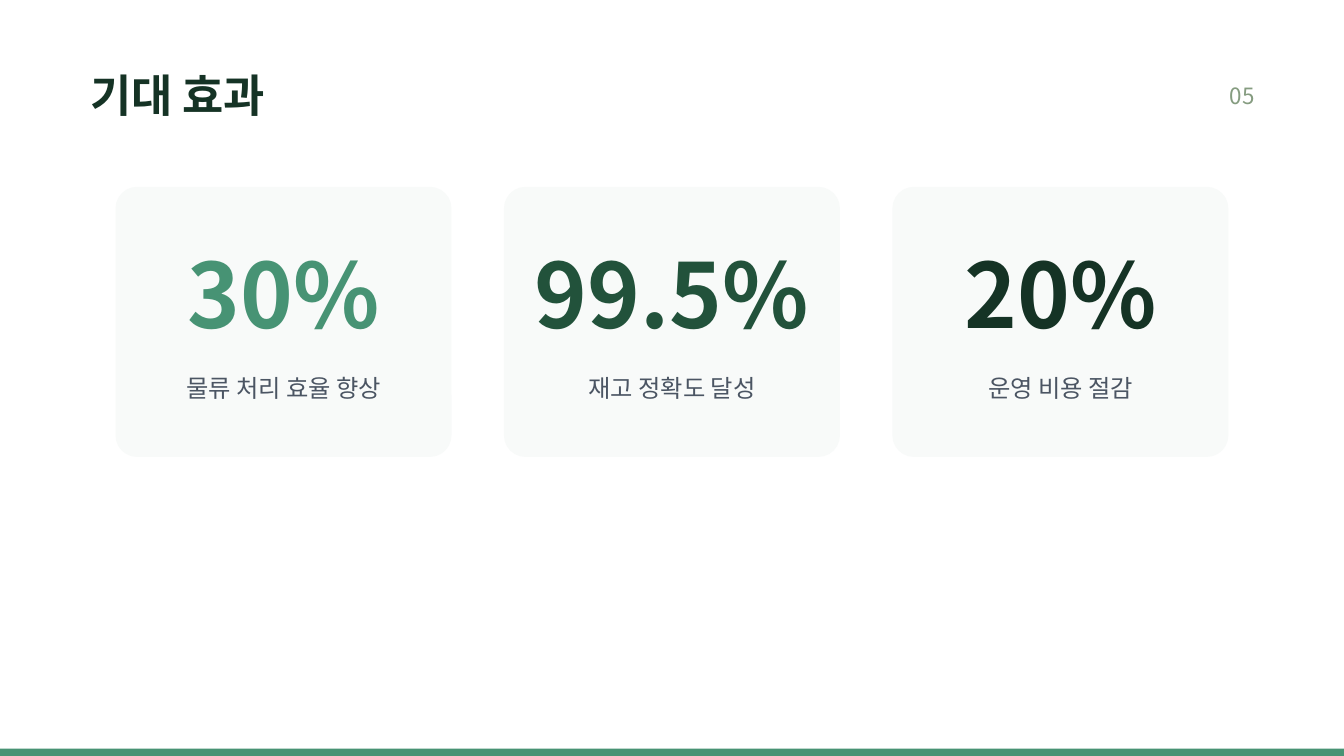
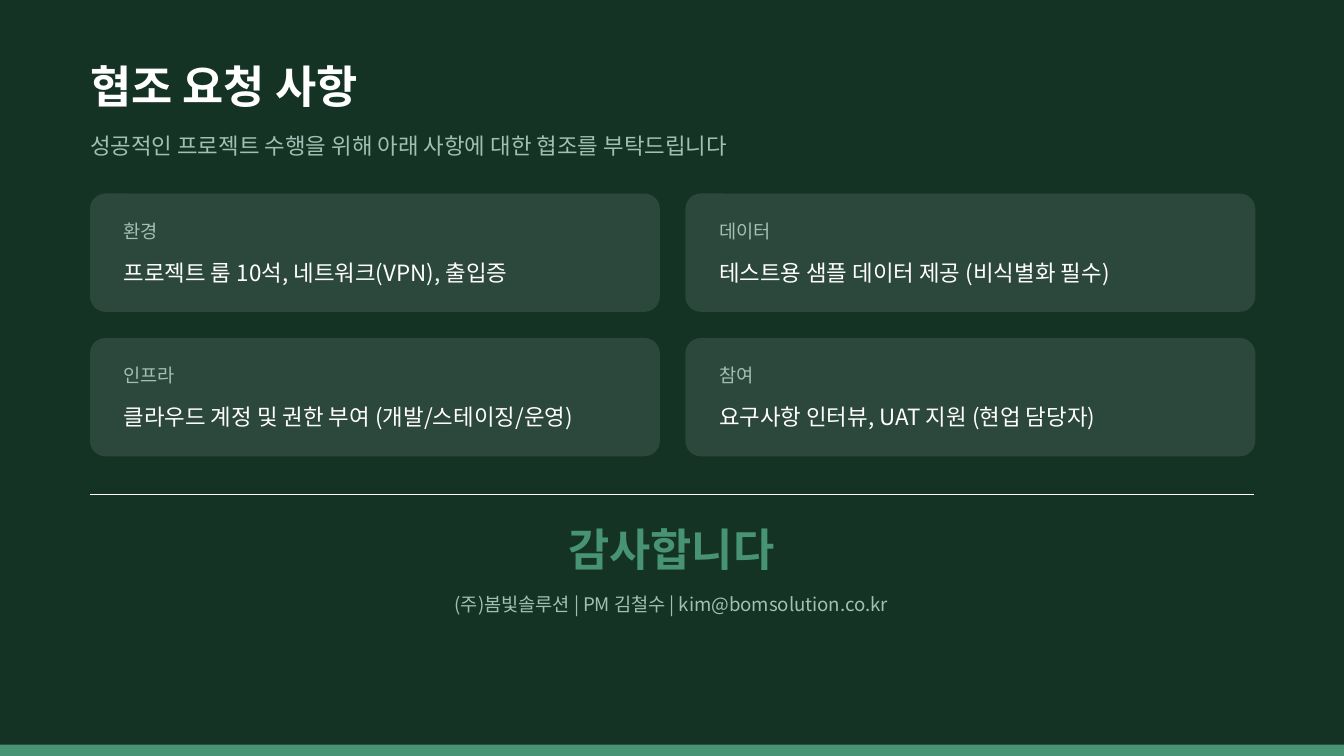
from itertools import product

from lxml.etree import SubElement
from pptx import Presentation
from pptx.dml.color import RGBColor
from pptx.enum.shapes import MSO_CONNECTOR, MSO_SHAPE
from pptx.enum.text import MSO_ANCHOR, MSO_AUTO_SIZE, PP_ALIGN
from pptx.oxml.ns import qn
from pptx.util import Inches, Pt

WHITE = RGBColor(0xFF, 0xFF, 0xFF)
FOREST = RGBColor(0x15, 0x33, 0x25)
PINE = RGBColor(0x22, 0x52, 0x3B)
GREEN = RGBColor(0x47, 0x93, 0x74)
SAGE = RGBColor(0x85, 0x9C, 0x80)
MIST = RGBColor(0xA1, 0xBF, 0xB4)
SLATE = RGBColor(0x4B, 0x55, 0x63)
PALE = RGBColor(0xF8, 0xFA, 0xF9)

FONT = "Noto Sans CJK KR"
TITLE_ONLY = 5
COLUMNS, ROWS = 100, 56.25
MARGIN = 6.7

HEADING = {"size": Pt(24), "bold": True}
FIGURE = {"size": Pt(48), "bold": True}
CAPTION = {"size": Pt(13)}
BODY = {"size": Pt(12)}
LABEL = {"size": Pt(10)}
CENTERED = {"alignment": PP_ALIGN.CENTER}


def set_all(target, values):
    for name, value in values.items():
        setattr(target, name, value)


class Deck:
    """Holds the shared style and the slide being built; lengths are grid units."""

    def __init__(self):
        self.presentation = Presentation()
        self.presentation.slide_width = Inches(10)
        self.presentation.slide_height = Inches(5.625)
        self.column = self.presentation.slide_width / COLUMNS
        self.row = self.presentation.slide_height / ROWS
        self.slide = None

    def place(self, left, top, width, height):
        return (round(left * self.column), round(top * self.row),
                round(width * self.column), round(height * self.row))

    def add_slide(self, background, band_height):
        layout = self.presentation.slide_layouts[TITLE_ONLY]
        self.slide = self.presentation.slides.add_slide(layout)
        fill = self.slide.background.fill
        fill.solid()
        fill.fore_color.rgb = background
        self.block(MSO_SHAPE.RECTANGLE, 0, ROWS - band_height, COLUMNS, band_height, GREEN)

    def fill_text(self, shape, content, color, font, paragraph_format):
        frame = shape.text_frame
        set_all(frame, {
            "margin_left": 0, "margin_top": 0, "margin_right": 0, "margin_bottom": 0,
            "word_wrap": True, "auto_size": MSO_AUTO_SIZE.NONE,
            "vertical_anchor": MSO_ANCHOR.TOP,
        })
        paragraph = frame.paragraphs[0]
        set_all(paragraph, {"alignment": PP_ALIGN.LEFT} | paragraph_format)
        run = paragraph.add_run()
        run.text = content
        set_all(run.font, {"name": FONT, "bold": False} | font)
        run.font.color.rgb = color
        SubElement(run.font._element, qn("a:ea"), typeface=FONT)

    def title(self, content, top, width, color):
        shape = self.slide.shapes.title
        bounds = self.place(MARGIN, top, width, 4.5)
        set_all(shape, dict(zip(("left", "top", "width", "height"), bounds)))
        self.fill_text(shape, content, color, HEADING, {})

    def text(self, content, left, top, width, height, color, font, **paragraph_format):
        shape = self.slide.shapes.add_textbox(*self.place(left, top, width, height))
        self.fill_text(shape, content, color, font, paragraph_format)

    def block(self, kind, left, top, width, height, color, rounding=None, opacity=None):
        shape = self.slide.shapes.add_shape(kind, *self.place(left, top, width, height))
        shape.shadow.inherit = False
        shape.line.fill.background()
        shape.fill.solid()
        shape.fill.fore_color.rgb = color
        if rounding is not None:
            shape.adjustments[0] = rounding
        if opacity is not None:
            rgb = shape._element.spPr.find(qn("a:solidFill")).find(qn("a:srgbClr"))
            SubElement(rgb, qn("a:alpha"), val=str(opacity * 1000))

    def rule(self, top, color):
        left, y, right, _ = self.place(MARGIN, top, COLUMNS - MARGIN, 0)
        line = self.slide.shapes.add_connector(MSO_CONNECTOR.STRAIGHT, left, y, right, y)
        line.line.width = Pt(0.75)
        line.line.color.rgb = color
        SubElement(line._element.spPr, qn("a:effectLst"))

    def metric_card(self, left, figure, caption, color):
        self.block(MSO_SHAPE.ROUNDED_RECTANGLE, left, 13.9, 25, 20.1, PALE, rounding=0.08)
        inner = left + 1.8
        self.text(figure, inner, 17.8, 21.4, 8.9, color, FIGURE,
                  space_after=Pt(8), **CENTERED)
        self.text(caption, inner, 27.8, 21.4, 2.4, SLATE, CAPTION,
                  space_before=Pt(4), **CENTERED)

    def request_card(self, left, top, label, request):
        self.block(MSO_SHAPE.ROUNDED_RECTANGLE, left, top, 42.4, 8.8, WHITE,
                   rounding=0.13, opacity=10)
        inner = left + 2.5
        self.text(label, inner, top + 1.95, 41.1, 1.9, MIST, LABEL, space_after=Pt(5))
        self.text(request, inner, top + 4.55, 41.1, 2.3, WHITE, BODY, line_spacing=Pt(16.8))


def build_effects(deck):
    deck.add_slide(WHITE, band_height=0.55)
    deck.title("기대 효과", 5, 16, FOREST)
    deck.text("05", 91.5, 6.1, 2, 2.2, SAGE, BODY)
    metrics = [
        ("30%", "물류 처리 효율 향상", GREEN),
        ("99.5%", "재고 정확도 달성", PINE),
        ("20%", "운영 비용 절감", FOREST),
    ]
    for index, metric in enumerate(metrics):
        deck.metric_card(8.6 + 28.9 * index, *metric)


def build_requests(deck):
    deck.add_slide(FOREST, band_height=0.85)
    deck.title("협조 요청 사항", 4.4, 92, WHITE)
    deck.text("성공적인 프로젝트 수행을 위해 아래 사항에 대한 협조를 부탁드립니다",
              MARGIN, 9.8, 92, 2.2, MIST, BODY)
    requests = [
        ("환경", "프로젝트 룸 10석, 네트워크(VPN), 출입증"),
        ("데이터", "테스트용 샘플 데이터 제공 (비식별화 필수)"),
        ("인프라", "클라우드 계정 및 권한 부여 (개발/스테이징/운영)"),
        ("참여", "요구사항 인터뷰, UAT 지원 (현업 담당자)"),
    ]
    for (row, column), request in zip(product(range(2), repeat=2), requests):
        deck.request_card(MARGIN + 44.3 * column, 14.4 + 10.75 * row, *request)
    deck.rule(36.8, WHITE)
    deck.text("감사합니다", 2.3, 38.8, 95.3, 4.5, GREEN, HEADING, **CENTERED)
    deck.text("(주)봄빛솔루션 | PM 김철수 | kim@bomsolution.co.kr",
              2.3, 44.1, 95.3, 1.9, MIST, LABEL, **CENTERED)


def main():
    deck = Deck()
    build_effects(deck)
    build_requests(deck)
    deck.presentation.save("out.pptx")


if __name__ == "__main__":
    main()
